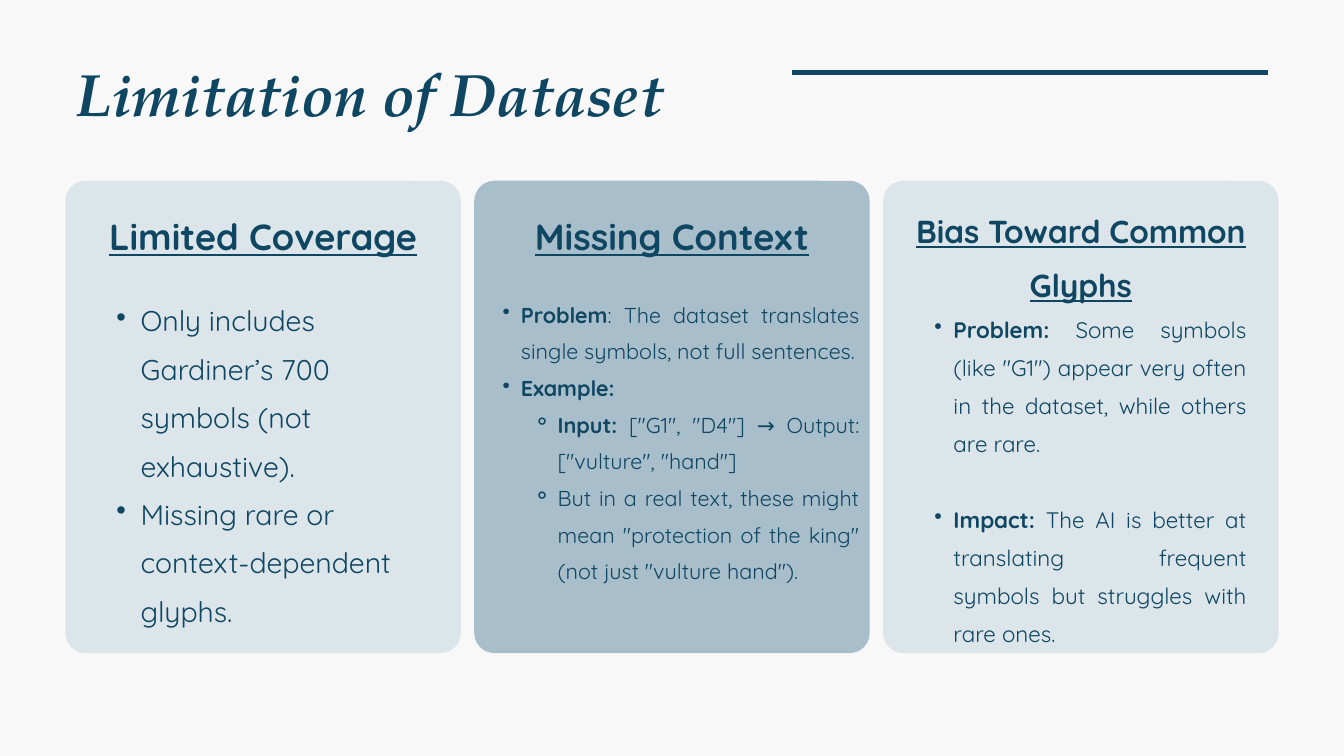
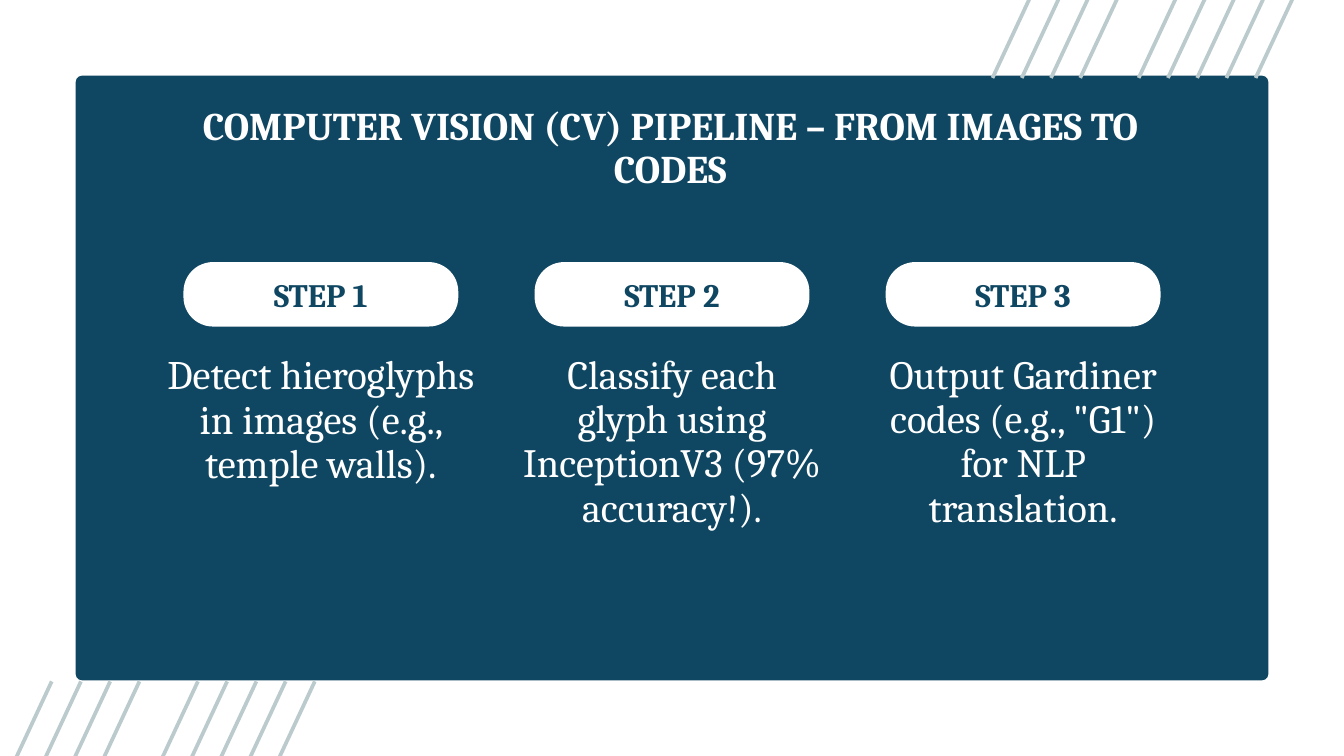
import lxml.etree
import pptx
import pptx.dml.color
import pptx.enum.shapes
import pptx.enum.text
import pptx.oxml.ns
import pptx.util

RGBColor = pptx.dml.color.RGBColor
ALIGN = pptx.enum.text.PP_ALIGN

# The slide is a grid of square cells; all lengths count cells.
CELL = pptx.util.Inches(1)
COLUMNS, ROWS = 20, 11.25
MARGIN = ROWS / 10

NAVY = RGBColor(0x0F, 0x46, 0x62)
PALE_BLUE = RGBColor(0xDB, 0xE5, 0xEA)
MID_BLUE = RGBColor(0xA9, 0xBE, 0xCB)
STRIPE_GREY = RGBColor(0xBB, 0xCB, 0xCD)
OFF_WHITE = RGBColor(0xF8, 0xF8, 0xF8)
WHITE = RGBColor(0xFF, 0xFF, 0xFF)

TITLE_FONT, CARD_FONT, STEP_FONT = "TeX Gyre Pagella", "Quicksand", "Cambria"
LEADING = {TITLE_FONT: 1.4, CARD_FONT: 1.7, STEP_FONT: 1.1}

TITLE = {"name": TITLE_FONT, "size": 64, "color": NAVY, "bold": True, "italic": True}
CARD_HEADING = {"name": CARD_FONT, "color": NAVY, "bold": True, "underline": True}
CARD_BODY = {"name": CARD_FONT, "color": NAVY}
PIPELINE_TITLE = {"name": STEP_FONT, "size": 42, "color": WHITE, "bold": True}
STEP_LABEL = {"name": STEP_FONT, "size": 35, "color": NAVY, "bold": True}
STEP_BODY = {"name": STEP_FONT, "color": WHITE}

CARD_WIDTH, CARD_GAP = 5.885, 0.2
CARD_TOP, CARD_HEIGHT = 2.69, 7.03
HEADING_INSET = 0.15
PILL_WIDTH, PILL_GAP = 4.09, 1.135
STEP_LABEL_WIDTH, STEP_BODY_WIDTH = 4.78, 4.58
STRIPE_PITCH, STRIPE_RUN, STRIPE_RISE = 0.435, 4.3, 9.21
STRIPE_SLOTS = (0, 1, 2, 3, 5, 6, 7, 8, 9)

# Each bullet is (level, blank lines before, ((text, bold), ...)).
CARDS = (
    {
        "fill": PALE_BLUE, "heading": "Limited Coverage",
        "heading_size": 39, "heading_height": 0.85,
        "size": 30.5, "inset": 0.4, "top": 4.3, "height": 4.98, "align": ALIGN.LEFT,
        "bullets": (
            (1, 0, (("Only includes Gardiner’s 700 symbols (not exhaustive).", False),)),
            (1, 0, (("Missing rare or context-dependent glyphs.", False),)),
        ),
    },
    {
        "fill": MID_BLUE, "heading": "Missing Context",
        "heading_size": 39, "heading_height": 0.85,
        "size": 23.1, "inset": 0.15, "top": 4.33, "height": 4.84, "align": ALIGN.JUSTIFY,
        "bullets": (
            (1, 0, (("Problem", True),
                    (": The dataset translates single symbols, not full sentences.", False))),
            (1, 0, (("Example:", True),)),
            (2, 0, (("Input:", True),
                    (' ["G1", "D4"] → Output: ["vulture", "hand"]', False))),
            (2, 0, (('But in a real text, these might mean "protection of the king" '
                     '(not just "vulture hand").', False),)),
        ),
    },
    {
        "fill": PALE_BLUE, "heading": "Bias Toward Common Glyphs",
        "heading_size": 34, "heading_height": 1.55,
        "size": 24, "inset": 0.48, "top": 4.53, "height": 5.59, "align": ALIGN.JUSTIFY,
        "bullets": (
            (1, 0, (("Problem: ", True),
                    ('Some symbols (like "G1") appear very often in the dataset, '
                     'while others are rare.', False))),
            (1, 1, (("Impact:", True),
                    (" The AI is better at translating frequent symbols but struggles "
                     "with rare ones.", False))),
        ),
    },
)

STEPS = (
    ("STEP 1", "Detect hieroglyphs in images (e.g., temple walls).", 43.4, 1.97),
    ("STEP 2", "Classify each glyph using InceptionV3 (97% accuracy!).", 43, 1.99),
    ("STEP 3", 'Output Gardiner codes (e.g., "G1") for NLP translation.', 43, 2.64),
)


def cells(*lengths):
    return [round(length * CELL) for length in lengths]


def centred_columns(count, width, gap):
    """Left edges of equal columns centred across the slide."""
    first = (COLUMNS - count * width - (count - 1) * gap) / 2
    return [first + i * (width + gap) for i in range(count)]


def add_slide(deck, background):
    slide = deck.slides.add_slide(deck.slide_layouts[6])
    slide.background.fill.solid()
    slide.background.fill.fore_color.rgb = background
    return slide


def add_panel(slide, left, top, width, height, radius, fill):
    panel = slide.shapes.add_shape(
        pptx.enum.shapes.MSO_SHAPE.ROUNDED_RECTANGLE, *cells(left, top, width, height))
    panel.adjustments[0] = radius / min(width, height)
    panel.fill.solid()
    panel.fill.fore_color.rgb = fill
    panel.line.fill.background()
    panel.shadow.inherit = False


def add_rule(slide, start, end, color, weight):
    rule = slide.shapes.add_connector(
        pptx.enum.shapes.MSO_CONNECTOR.STRAIGHT, *cells(*start, *end))
    rule.line.color.rgb = color
    rule.line.width = pptx.util.Pt(weight)
    lxml.etree.SubElement(rule._element.spPr, pptx.oxml.ns.qn("a:effectLst"))


def add_frame(slide, left, top, width, height):
    frame = slide.shapes.add_textbox(*cells(left, top, width, height)).text_frame
    settings = {"margin_left": 0, "margin_top": 0, "margin_right": 0, "margin_bottom": 0,
                "word_wrap": True,
                "auto_size": pptx.enum.text.MSO_AUTO_SIZE.SHAPE_TO_FIT_TEXT}
    for name, value in settings.items():
        setattr(frame, name, value)
    return frame


def line_height(style):
    return pptx.util.Pt(round(style["size"] * LEADING[style["name"]], 1))


def add_run(paragraph, text, style):
    run = paragraph.add_run()
    run.text = text
    for name, value in style.items():
        if name == "color":
            run.font.color.rgb = value
        else:
            setattr(run.font, name, pptx.util.Pt(value) if name == "size" else value)


def add_text(slide, box, text, style, align=ALIGN.CENTER):
    paragraph = add_frame(slide, *box).paragraphs[0]
    paragraph.alignment = align
    paragraph.line_spacing = line_height(style)
    add_run(paragraph, text, style)


def set_bullet(paragraph, level, size):
    """Indent doubles with each level and grows with the text size."""
    left = 0.36 * size / 30.5 * 2 ** level
    properties = paragraph._p.get_or_add_pPr()
    margin, hanging = cells(left, -left / (level + 1))
    properties.set("marL", str(margin))
    properties.set("indent", str(hanging))
    bullet = lxml.etree.SubElement(properties, pptx.oxml.ns.qn("a:buChar"))
    bullet.set("char", "•" if level == 1 else "⚬")


def add_bullets(slide, box, bullets, style, align):
    frame = add_frame(slide, *box)
    for i, (level, blank_lines, pieces) in enumerate(bullets):
        paragraph = frame.add_paragraph() if i else frame.paragraphs[0]
        paragraph.alignment = align
        paragraph.level = level
        paragraph.line_spacing = line_height(style)
        paragraph.space_before = blank_lines * line_height(style)
        set_bullet(paragraph, level, style["size"])
        for text, bold in pieces:
            add_run(paragraph, text, {**style, "bold": bold})


def add_card(slide, left, card):
    add_panel(slide, left, CARD_TOP, CARD_WIDTH, CARD_HEIGHT, 0.3, card["fill"])
    inset = card["inset"]
    add_bullets(slide, (left + inset, card["top"], CARD_WIDTH - 2 * inset, card["height"]),
                card["bullets"], {**CARD_BODY, "size": card["size"]}, card["align"])
    add_text(slide, (left + HEADING_INSET, 2.92, CARD_WIDTH - 2 * HEADING_INSET,
                     card["heading_height"]),
             card["heading"], {**CARD_HEADING, "size": card["heading_size"]})


def add_step(slide, left, label, body, size, height):
    centre = left + PILL_WIDTH / 2
    add_panel(slide, left, 3.9, PILL_WIDTH, 0.96, 0.44, WHITE)
    add_text(slide, (centre - STEP_LABEL_WIDTH / 2, 4.14, STEP_LABEL_WIDTH, 0.54),
             label, STEP_LABEL)
    add_text(slide, (centre - STEP_BODY_WIDTH / 2, 5.26, STEP_BODY_WIDTH, height),
             body, {**STEP_BODY, "size": size})


def add_stripes(slide, left, bottom):
    """Slanted strokes in two bands, the first starting at left, bottom."""
    for slot in STRIPE_SLOTS:
        x = left + slot * STRIPE_PITCH
        add_rule(slide, (x, bottom), (x + STRIPE_RUN, bottom - STRIPE_RISE), STRIPE_GREY, 4)


def build_limitations(deck):
    slide = add_slide(deck, OFF_WHITE)
    add_text(slide, (MARGIN, 0.66, 8.88, 1.19), "Limitation of Dataset", TITLE, ALIGN.LEFT)
    add_rule(slide, (11.78, 1.08), (COLUMNS - MARGIN, 1.08), NAVY, 6)
    for left, card in zip(centred_columns(len(CARDS), CARD_WIDTH, CARD_GAP), CARDS):
        add_card(slide, left, card)


def build_pipeline(deck):
    slide = add_slide(deck, WHITE)
    add_panel(slide, MARGIN, MARGIN, COLUMNS - 2 * MARGIN, ROWS - 2 * MARGIN, 0.1, NAVY)
    add_text(slide, (2.73, 1.57, 14.49, 1.29),
             "COMPUTER VISION (CV) PIPELINE – FROM IMAGES TO CODES", PIPELINE_TITLE)
    for left, step in zip(centred_columns(len(STEPS), PILL_WIDTH, PILL_GAP), STEPS):
        add_step(slide, left, *step)
    add_stripes(slide, -3.53, 19.35)
    add_stripes(slide, 14.77, 1.16)


def main():
    deck = pptx.Presentation()
    deck.slide_width, deck.slide_height = cells(COLUMNS, ROWS)
    build_limitations(deck)
    build_pipeline(deck)
    deck.save("out.pptx")


if __name__ == "__main__":
    main()
